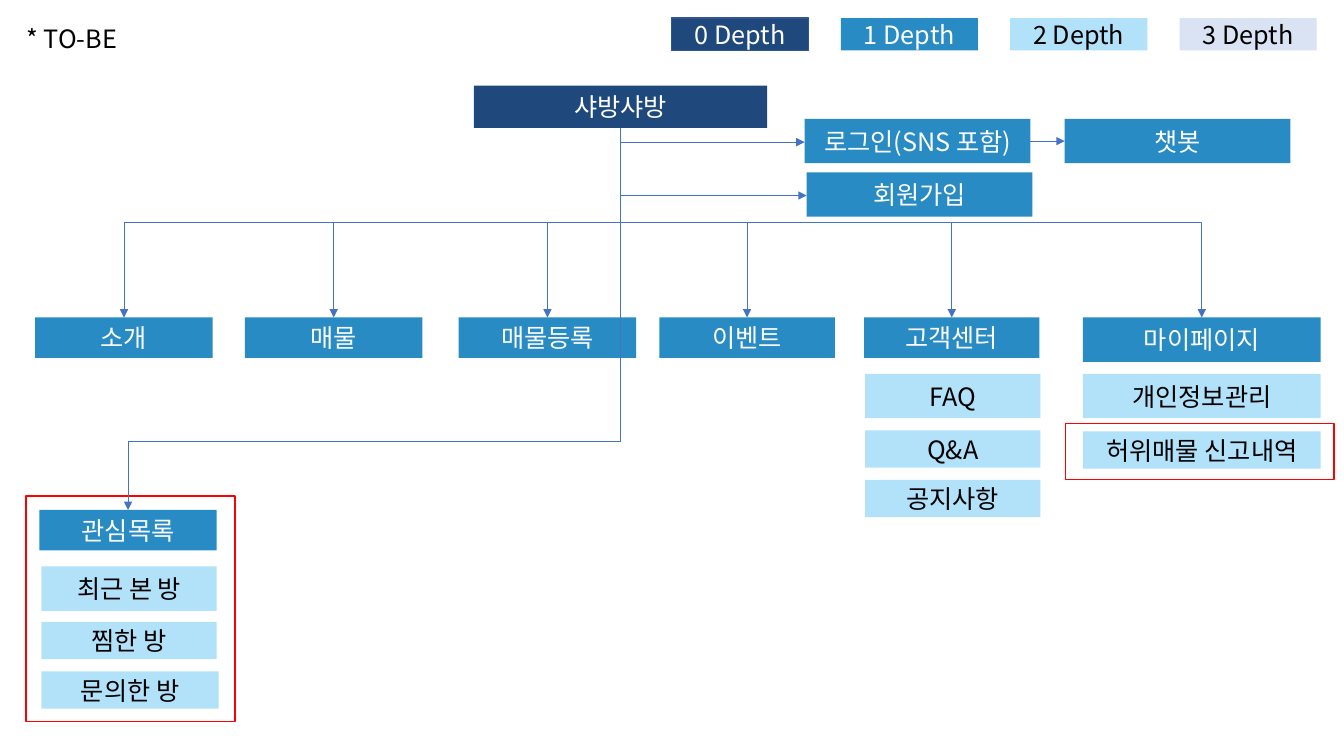
import pptx
import pptx.util
import pptx.dml.color
import pptx.enum.shapes
import pptx.enum.text
import pptx.oxml
from lxml import etree
from pptx.util import Inches

FONT = "Noto Sans CJK KR"
NAVY, BLUE, SKY, LAVENDER = "1F497D", "288BC4", "B1E2FA", "DAE3F3"
WHITE, BLACK, RED, LINE_BLUE = "FFFFFF", "000000", "FF0000", "4472C4"
TEXT_COLOURS = {NAVY: WHITE, BLUE: WHITE, SKY: BLACK, LAVENDER: BLACK}
DRAWING = "{http://schemas.openxmlformats.org/drawingml/2006/main}"

presentation = pptx.Presentation()
presentation.slide_width = Inches(13.33)
presentation.slide_height = Inches(7.5)
slide = presentation.slides.add_slide(presentation.slide_layouts[5])


def colour(value):
    return pptx.dml.color.RGBColor.from_string(value)


def write(shape, text, text_colour, alignment):
    paragraph = shape.text_frame.paragraphs[0]
    paragraph.alignment = alignment
    run = paragraph.add_run()
    run.text = text
    run.font.size = pptx.util.Pt(18)
    run.font.color.rgb = colour(text_colour)
    run.font.name = FONT
    etree.SubElement(run.font._element, DRAWING + "ea", typeface=FONT)


# Title
title = slide.shapes.title
title.left, title.top = Inches(0.16), Inches(0.18)
title.width, title.height = Inches(1.1), Inches(0.4)
title.text_frame.word_wrap = False
title.text_frame.auto_size = pptx.enum.text.MSO_AUTO_SIZE.NONE
title.text_frame.vertical_anchor = pptx.enum.text.MSO_ANCHOR.TOP
write(title, "* TO-BE", BLACK, pptx.enum.text.PP_ALIGN.LEFT)

# Boxes: text, fill, left, top, width, height
boxes = [
    ("샤방샤방", NAVY, 4.7, 0.85, 2.91, 0.42),
    ("로그인(SNS 포함)", BLUE, 7.98, 1.18, 2.24, 0.44),
    ("챗봇", BLUE, 10.56, 1.18, 2.24, 0.44),
    ("회원가입", BLUE, 8, 1.71, 2.24, 0.44),
    ("관심목록", BLUE, 0.39, 5.06, 1.76, 0.4),
    ("최근 본 방", SKY, 0.41, 5.62, 1.74, 0.44),
    ("찜한 방", SKY, 0.41, 6.17, 1.74, 0.37),
    ("문의한 방", SKY, 0.41, 6.66, 1.76, 0.37),
    ("FAQ", SKY, 8.58, 3.71, 1.74, 0.44),
    ("Q&A", SKY, 8.58, 4.27, 1.74, 0.37),
    ("공지사항", SKY, 8.58, 4.76, 1.74, 0.37),
    ("개인정보관리", SKY, 10.74, 3.71, 2.36, 0.44),
    ("허위매물 신고내역", SKY, 10.74, 4.28, 2.36, 0.37),
]
for depth, fill in enumerate([NAVY, BLUE, SKY, LAVENDER]):
    boxes.append((f"{depth} Depth", fill, 6.66 + 1.68 * depth, 0.18, 1.36, 0.32))

menus = [
    ("소개", 0.35, 1.76, 0.4),
    ("매물", 2.43, 1.76, 0.4),
    ("매물등록", 4.55, 1.76, 0.4),
    ("이벤트", 6.54, 1.74, 0.4),
    ("고객센터", 8.57, 1.74, 0.4),
    ("마이페이지", 10.74, 2.36, 0.44),
]
menu_top = 3.15
for text, left, width, height in menus:
    boxes.append((text, BLUE, left, menu_top, width, height))

box_shapes = {}
for text, fill, left, top, width, height in boxes:
    box = slide.shapes.add_shape(
        pptx.enum.shapes.MSO_SHAPE.RECTANGLE,
        Inches(left), Inches(top), Inches(width), Inches(height))
    box.shadow.inherit = False
    box.fill.solid()
    box.fill.fore_color.rgb = colour(fill)
    box.line.fill.background()
    box.text_frame.vertical_anchor = pptx.enum.text.MSO_ANCHOR.MIDDLE
    write(box, text, TEXT_COLOURS[fill], pptx.enum.text.PP_ALIGN.CENTER)
    box_shapes[text] = box

box_shapes["0 Depth"].line.color.rgb = colour("325491")
box_shapes["0 Depth"].line.width = pptx.util.Pt(1)

# Red frames around the new items
for left, top, width, height in [(10.57, 4.2, 2.66, 0.56), (0.26, 4.92, 2.07, 2.24)]:
    frame = slide.shapes.add_shape(
        pptx.enum.shapes.MSO_SHAPE.RECTANGLE,
        Inches(left), Inches(top), Inches(width), Inches(height))
    frame.shadow.inherit = False
    frame.fill.background()
    frame.line.color.rgb = colour(RED)
    frame.line.width = pptx.util.Pt(1)

# Elbows leave the root box downwards: end x, end y, preset, bend position
root_x, root_y = 6.15, 1.27
elbows = [
    (7.98, 1.41, "bentConnector2", None),
    (8, 1.94, "bentConnector2", None),
    (1.27, 5.06, "bentConnector3", 82000),
]
for text, left, width, height in menus:
    elbows.append((left + width / 2, menu_top, "bentConnector3", 50000))

connectors = []
for end_x, end_y, preset, bend in elbows:
    # A quarter turn makes the first leg vertical, so width and height swap.
    across, down = abs(end_x - root_x), end_y - root_y
    left = (root_x + end_x - down) / 2
    top = (root_y + end_y - across) / 2
    begin, end = left, left + down
    if end_x > root_x:
        begin, end = end, begin
    connector = slide.shapes.add_connector(
        pptx.enum.shapes.MSO_CONNECTOR.ELBOW,
        Inches(begin), Inches(top), Inches(end), Inches(top + across))
    properties = connector._element.spPr
    turn = 270 if end_x > root_x else 90
    properties.find(DRAWING + "xfrm").set("rot", str(turn * 60000))
    geometry = properties.find(DRAWING + "prstGeom")
    geometry.set("prst", preset)
    if bend:
        etree.SubElement(geometry.find(DRAWING + "avLst"), DRAWING + "gd",
                         name="adj1", fmla=f"val {bend}")
    connectors.append(connector)

chatbot_arrow = slide.shapes.add_connector(
    pptx.enum.shapes.MSO_CONNECTOR.STRAIGHT,
    Inches(10.22), Inches(1.4), Inches(10.56), Inches(1.4))
chatbot_arrow.begin_connect(box_shapes["로그인(SNS 포함)"], 3)
chatbot_arrow.end_connect(box_shapes["챗봇"], 1)
connectors.append(chatbot_arrow)

for connector in connectors:
    connector.line.color.rgb = colour(LINE_BLUE)
    connector.line.width = pptx.util.Pt(0.5)
    properties = connector._element.spPr
    etree.SubElement(properties.find(DRAWING + "ln"), DRAWING + "tailEnd", type="triangle")
    etree.SubElement(properties, DRAWING + "effectLst")

presentation.save("out.pptx")
